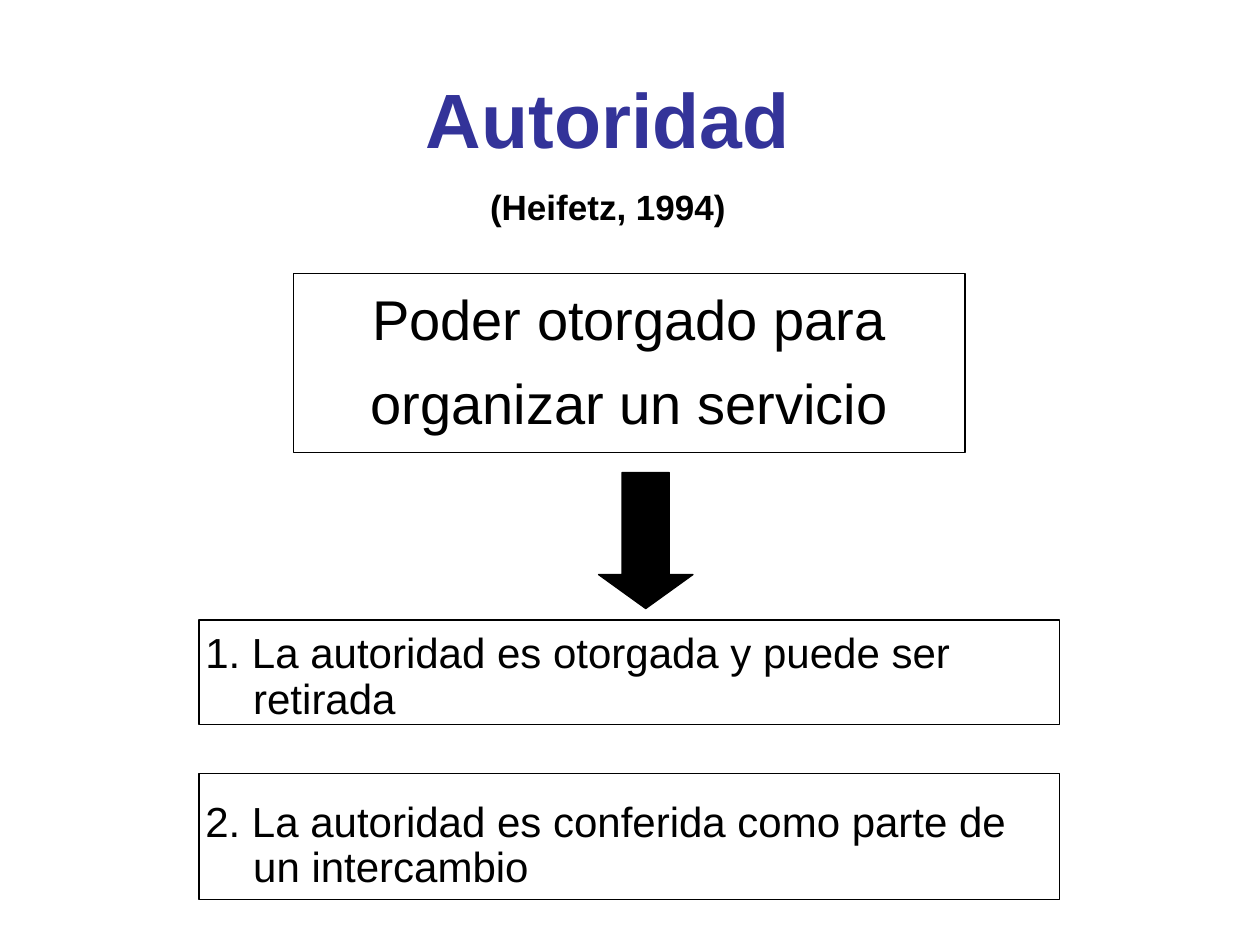
from pptx import Presentation
from pptx.util import Inches, Pt
from pptx.dml.color import RGBColor
from pptx.enum.shapes import MSO_SHAPE
from pptx.enum.text import PP_ALIGN, MSO_ANCHOR

HUES = {"blue": "333399", "black": "000000", "white": "FFFFFF"}
HEAD = [("Autoridad", 44, "blue", 0), ("(Heifetz, 1994)", 20, "black", 17.5)]
POWER = ["Poder otorgado para", "organizar un servicio"]
ITEMS = [
    ("1. La autoridad es otorgada y puede ser retirada", 4.92, 0.83, 0.1),
    ("2. La autoridad es conferida como parte de un intercambio", 6.14, 1, 0.22),
]


def hue(name):
    return RGBColor.from_string(HUES[name])


def style(para, size, color="black", bold=False):
    font = para.font
    font.name, font.size, font.bold = "Arial", Pt(size), bold
    font.color.rgb = hue(color)


def shape(kind, spot, fill="white"):
    form = slide.shapes.add_shape(kind, *map(Inches, spot))
    form.shadow.inherit = False
    form.fill.solid()
    form.fill.fore_color.rgb = hue(fill)
    form.line.color.rgb = hue("black")
    form.line.width = Pt(0.75)
    return form


def frame(form, top, left=0.1, right=0.1):
    text = form.text_frame
    text.word_wrap = True
    text.vertical_anchor = MSO_ANCHOR.TOP
    text.margin_top, text.margin_left, text.margin_right = map(Inches, (top, left, right))
    return text


deck = Presentation()
deck.slide_width, deck.slide_height = Inches(10), Inches(7.5)
slide = deck.slides.add_slide(deck.slide_layouts[5])

title = slide.shapes.title
title.left, title.top, title.width, title.height = map(Inches, (0.75, 0.63, 8.15, 1.25))
text = title.text_frame
text.text = "\n".join(row[0] for row in HEAD)
text.vertical_anchor = MSO_ANCHOR.MIDDLE
for para, (_, size, color, gap) in zip(text.paragraphs, HEAD):
    para.alignment = PP_ALIGN.CENTER
    para.line_spacing = 0.8
    para.space_before = Pt(gap)
    style(para, size, color, True)

text = frame(shape(MSO_SHAPE.RECTANGLE, (2.33, 2.17, 5.33, 1.42)), 0.09)
text.text = "\n".join(POWER)
for row, para in enumerate(text.paragraphs):
    para.alignment = PP_ALIGN.CENTER
    para.space_before = Pt(9.5 if row else 0)
    style(para, 32)

arrow = shape(MSO_SHAPE.DOWN_ARROW, (4.75, 3.75, 0.75, 1.08), "black")
arrow.adjustments[1] = 0.36

for words, top, high, inset in ITEMS:
    text = frame(shape(MSO_SHAPE.RECTANGLE, (1.58, top, 6.83, high)), inset, 0.05, 0.13)
    text.text = words
    para = text.paragraphs[0]
    para.alignment = PP_ALIGN.LEFT
    para.line_spacing = 0.9
    props = para._p.get_or_add_pPr()
    props.set("marL", str(Inches(0.38)))
    props.set("indent", str(-Inches(0.38)))
    style(para, 24)

deck.save("out.pptx")
